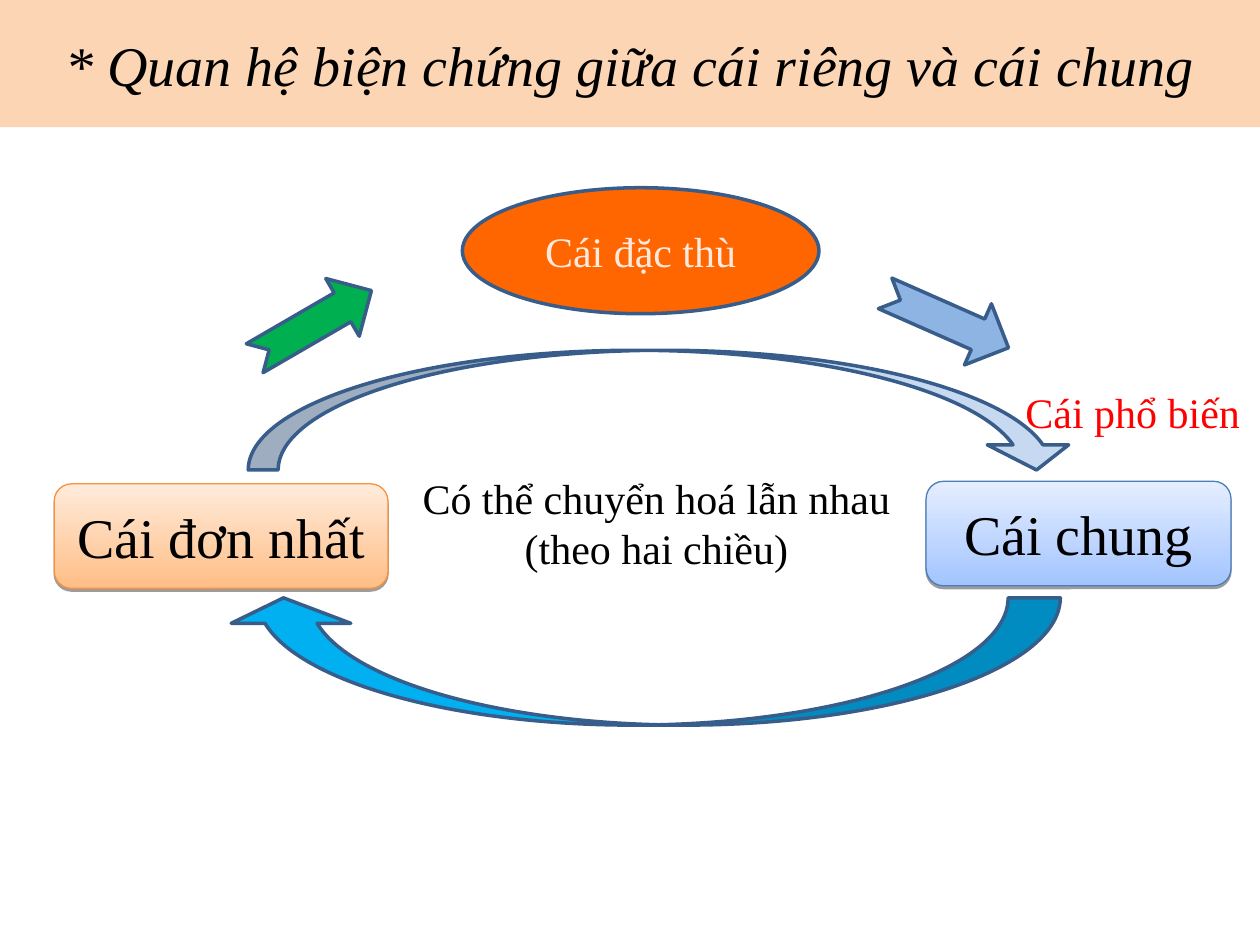
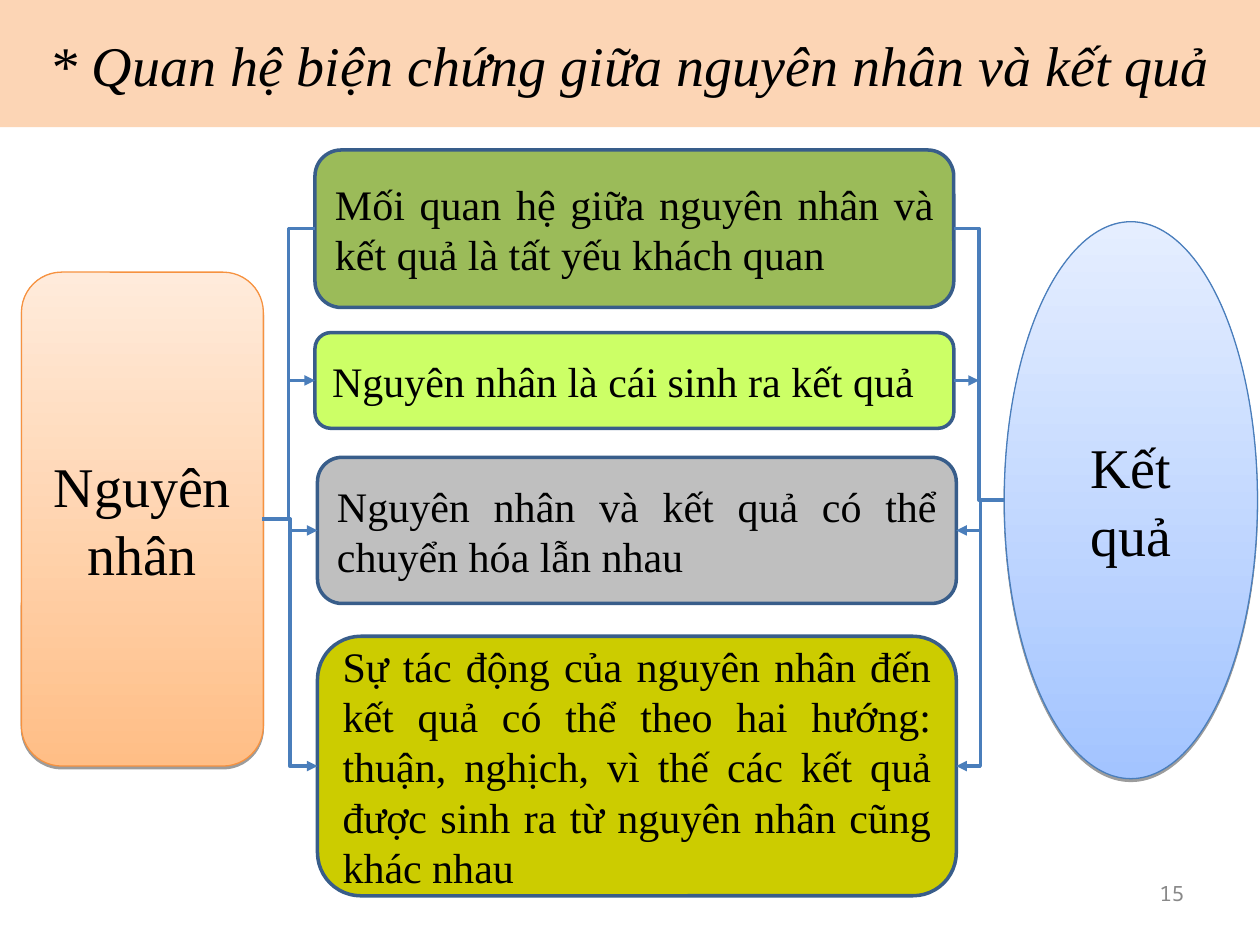
from lxml import etree
from pptx import Presentation
from pptx.dml.color import RGBColor
from pptx.enum.shapes import MSO_CONNECTOR, MSO_SHAPE
from pptx.enum.text import MSO_ANCHOR, PP_ALIGN
from pptx.oxml import parse_xml
from pptx.oxml.ns import qn
from pptx.util import Inches, Pt

ROUNDED, OVAL, BAND = MSO_SHAPE.ROUNDED_RECTANGLE, MSO_SHAPE.OVAL, MSO_SHAPE.RECTANGLE
NOTCHED = MSO_SHAPE.NOTCHED_RIGHT_ARROW
CURVED_DOWN, CURVED_LEFT = MSO_SHAPE.CURVED_DOWN_ARROW, MSO_SHAPE.CURVED_LEFT_ARROW
ELBOW, STRAIGHT = MSO_CONNECTOR.ELBOW, MSO_CONNECTOR.STRAIGHT
LEFT, CENTER, RIGHT, JUSTIFY = PP_ALIGN.LEFT, PP_ALIGN.CENTER, PP_ALIGN.RIGHT, PP_ALIGN.JUSTIFY
TOP, MIDDLE = MSO_ANCHOR.TOP, MSO_ANCHOR.MIDDLE

SERIF = "Times New Roman"
COLORS = {
    "black": "000000", "red": "FF0000", "cream": "FEE9DE", "page_number": "898989",
    "band": "FCD5B5", "outline": "385D8A", "connector": "4A7EBB",
    "orange": "FF6600", "pale_blue": "C6D9F1", "sky": "00B0F0",
    "steel": "8EB4E3", "green": "00B050",
    "olive": "9BBB59", "lime": "CCFF66", "gray": "BFBFBF", "mustard": "CCCC00",
    "blue_dark": "A3C4FF", "blue_light": "E5EEFF", "blue_edge": "4A7EBB",
    "peach_dark": "FFBE86", "peach_light": "FFEBDB", "peach_edge": "F69240",
}
RGB = {name: RGBColor.from_string(value) for name, value in COLORS.items()}
SHADOW = (
    '<a:outerShdw xmlns:a="http://schemas.openxmlformats.org/drawingml/2006/main" '
    'blurRad="0" dist="20320" dir="5400000" rotWithShape="0">'
    '<a:srgbClr val="000000"><a:alpha val="38000"/></a:srgbClr></a:outerShdw>'
)


def write_text(shape, text, size, color="black", align=CENTER, anchor=MIDDLE,
               italic=False, font=SERIF, wrap=True):
    frame = shape.text_frame
    frame.text = text
    frame.word_wrap = wrap
    frame.vertical_anchor = anchor
    for paragraph in frame.paragraphs:
        paragraph.alignment = align
        for run in paragraph.runs:
            run.font.name = font
            run.font.size = Pt(size)
            run.font.italic = italic
            run.font.color.rgb = RGB[color]


def draw_shape(slide, kind, box, fill, outline="outline"):
    shape = slide.shapes.add_shape(kind, *map(Inches, box))
    shape.shadow.inherit = False
    if fill in ("blue", "peach"):
        shape.fill.gradient()
        shape.fill.gradient_angle = 90
        for stop, tone in zip(shape.fill.gradient_stops, ("dark", "light")):
            stop.color.rgb = RGB[f"{fill}_{tone}"]
        for stop, position in zip(shape.fill.gradient_stops, (0, 1)):
            stop.position = position
        shape.line.color.rgb = RGB[f"{fill}_edge"]
        shape.line.width = Pt(0.75)
        shape.element.spPr.find(qn("a:effectLst")).append(parse_xml(SHADOW))
    else:
        shape.fill.solid()
        shape.fill.fore_color.rgb = RGB[fill]
        if outline:
            shape.line.color.rgb = RGB[outline]
            shape.line.width = Pt(2)
        else:
            shape.line.fill.background()
    return shape


presentation = Presentation()
presentation.slide_width = Inches(10)
presentation.slide_height = Inches(7.5)

slides = []
for title in ("* Quan hệ biện chứng giữa cái riêng và cái chung",
              "* Quan hệ biện chứng giữa nguyên nhân và kết quả"):
    slide = presentation.slides.add_slide(presentation.slide_layouts[6])
    band = draw_shape(slide, BAND, (0, 0, 10, 1.01), "band", outline=None)
    write_text(band, title, 32, italic=True)
    slides.append(slide)
general_slide, cause_slide = slides

for kind, box, fill, text, size, color in (
    (ROUNDED, (7.35, 3.82, 2.42, 0.83), "blue", "Cái chung", 32, "black"),
    (ROUNDED, (0.43, 3.84, 2.65, 0.83), "peach", "Cái đơn nhất", 32, "black"),
    (OVAL, (3.67, 1.49, 2.83, 1), "orange", "Cái đặc thù", 24, "cream"),
):
    write_text(draw_shape(general_slide, kind, box, fill), text, size, color)

for kind, box, fill, rotation, adjustments in (
    (CURVED_DOWN, (1.97, 2.78, 6.58, 0.95), "pale_blue", 0, (0.25, 0.68, 0.21)),
    (CURVED_LEFT, (4.59, 1.93, 1.01, 6.64), "sky", 90, (0.41, 0.94, 0.2)),
    (NOTCHED, (6.98, 2.28, 1.07, 0.53), "steel", 23.8, (0.5, 0.5)),
    (NOTCHED, (1.95, 2.31, 1.07, 0.53), "green", 329.9, (0.5, 0.5)),
):
    arrow = draw_shape(general_slide, kind, box, fill)
    arrow.rotation = rotation
    for index, value in enumerate(adjustments):
        arrow.adjustments[index] = value

universal_label = general_slide.shapes.add_textbox(*map(Inches, (8.04, 3.02, 1.98, 0.5)))
write_text(universal_label, "Cái phổ biến", 24, "red", LEFT, TOP, wrap=False)
conversion_label = general_slide.shapes.add_textbox(*map(Inches, (2.71, 3.7, 5, 0.9)))
write_text(conversion_label, "Có thể chuyển hoá lẫn nhau\n(theo hai chiều)", 24, anchor=TOP)

page_number = cause_slide.shapes.add_textbox(*map(Inches, (7.17, 6.83, 2.33, 0.52)))
write_text(page_number, "15", 12, "page_number", RIGHT, font="Noto Sans Mono")

effect = draw_shape(cause_slide, OVAL, (7.97, 1.76, 2.01, 4.42), "blue")
write_text(effect, "Kết quả", 32)
cause = draw_shape(cause_slide, ROUNDED, (0.17, 2.16, 1.92, 3.92), "peach")
write_text(cause, "Nguyên nhân", 32)

CARD_WIDTH = 5.07
CAUSE_EDGE, CAUSE_MIDDLE = 2.08, 4.12
EFFECT_EDGE, EFFECT_MIDDLE = 7.97, 3.97
links = []
for left, top, height, fill, text, has_arrow in (
    (2.5, 1.19, 1.25, "olive",
     "Mối quan hệ giữa nguyên nhân và kết quả là tất yếu khách quan", False),
    (2.5, 2.64, 0.76, "lime", "Nguyên nhân là cái sinh ra kết quả", True),
    (2.52, 3.63, 1.16, "gray", "Nguyên nhân và kết quả có thể chuyển hóa lẫn nhau", True),
    (2.52, 5.05, 2.06, "mustard",
     "Sự tác động của nguyên nhân đến kết quả có thể theo hai hướng: thuận, nghịch, "
     "vì thế các kết quả được sinh ra từ nguyên nhân cũng khác nhau", True),
):
    card = draw_shape(cause_slide, ROUNDED, (left, top, CARD_WIDTH, height), fill)
    write_text(card, text, 24, align=JUSTIFY)
    middle, right = top + height / 2, left + CARD_WIDTH
    links.append((ELBOW, (CAUSE_EDGE, CAUSE_MIDDLE, left, middle), has_arrow))
    if fill == "lime":
        links.append((STRAIGHT, (right, middle, right + 0.2, middle), has_arrow))
    else:
        links.append((ELBOW, (EFFECT_EDGE, EFFECT_MIDDLE, right, middle), has_arrow))

for kind, ends, has_arrow in links:
    connector = cause_slide.shapes.add_connector(kind, *map(Inches, ends))
    connector.line.color.rgb = RGB["connector"]
    connector.line.width = Pt(2)
    if has_arrow:
        etree.SubElement(connector.line._get_or_add_ln(), qn("a:tailEnd"), type="triangle")
    etree.SubElement(connector.element.spPr, qn("a:effectLst"))

presentation.save("out.pptx")
